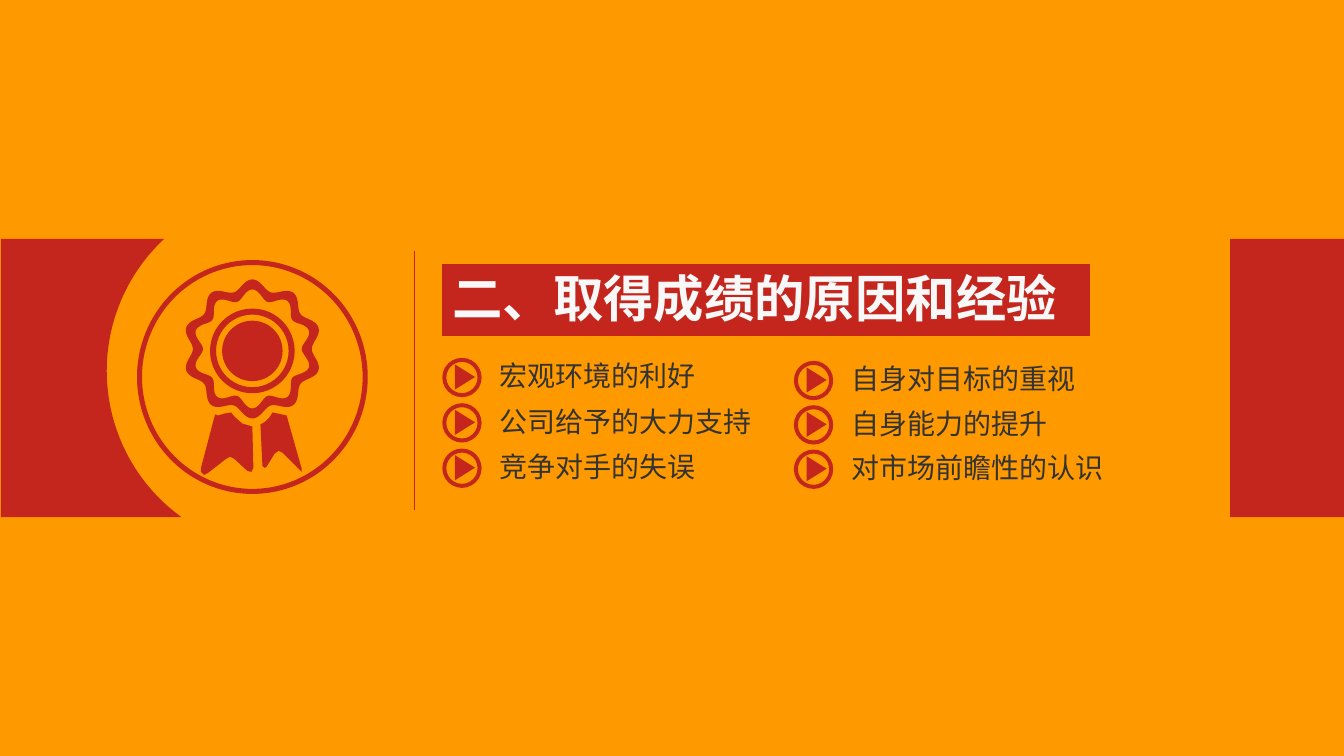
import math

import pptx
import pptx.dml.color
import pptx.enum.shapes
import pptx.enum.text
import pptx.oxml.ns
import pptx.util
from lxml import etree

WIDTH, HEIGHT = 13.34, 7.5
COLORS = {"orange": "FF9900", "red": "C4261D", "white": "F8F8F8", "gray": "333333"}
CJK_FONT = "Noto Sans CJK SC"
SHAPES = pptx.enum.shapes.MSO_SHAPE
TITLE = "二、取得成绩的原因和经验"
REASONS = ["宏观环境的利好", "公司给予的大力支持", "竞争对手的失误"]
EXPERIENCES = ["自身对目标的重视", "自身能力的提升", "对市场前瞻性的认识"]

# Ribbon outlines, measured from the centre of the rosette.
RIBBONS = [
    [(0.34, 0.66), (0.2, 0.63), (0.17, 0.68), (0.13, 0.72), (0.08, 0.75),
     (0.1, 1.16), (0.12, 1.18), (0.14, 1.17), (0.22, 1.04), (0.26, 1.01),
     (0.3, 1.03), (0.47, 1.2), (0.49, 1.22), (0.49, 1.19)],
    [(-0.37, 0.65), (-0.51, 1.18), (-0.51, 1.22), (-0.48, 1.25), (-0.44, 1.23),
     (-0.26, 1.09), (-0.22, 1.07), (-0.18, 1.09), (-0.05, 1.21), (-0.01, 1.22),
     (0.01, 1.18), (0, 0.77), (-0.1, 0.74), (-0.18, 0.67), (-0.21, 0.63),
     (-0.27, 0.64), (-0.34, 0.66)],
]


def rgb(name):
    return pptx.dml.color.RGBColor.from_string(COLORS[name])


def inches(*lengths):
    return [pptx.util.Inches(length) for length in lengths]


def paint(shape):
    shape.shadow.inherit = False
    shape.fill.solid()
    shape.fill.fore_color.rgb = rgb("red")
    shape.line.fill.background()
    return shape


def add_preset(shapes, kind, box):
    return paint(shapes.add_shape(kind, *inches(*box)))


def add_ring(shapes, box, thickness):
    ring = add_preset(shapes, SHAPES.DONUT, box)
    ring.adjustments[0] = thickness / min(box[2:])


def add_outline(shapes, *contours):
    """Draw closed contours as one shape; a second contour cuts a hole."""
    contours = [[inches(*point) for point in contour] for contour in contours]
    builder = shapes.build_freeform(*contours[0][0], scale=1.0)
    builder.add_line_segments(contours[0][1:], close=True)
    for contour in contours[1:]:
        builder.move_to(*contour[0])
        builder.add_line_segments(contour[1:], close=True)
    return paint(builder.convert_to_shape())


def write(shape, text, size, color, font, bold=False):
    frame = shape.text_frame
    frame.vertical_anchor = pptx.enum.text.MSO_ANCHOR.TOP
    frame.auto_size = pptx.enum.text.MSO_AUTO_SIZE.SHAPE_TO_FIT_TEXT
    para = frame.paragraphs[0]
    para.alignment = pptx.enum.text.PP_ALIGN.LEFT
    span = para.add_run()
    span.text = text
    span.font.size = pptx.util.Pt(size)
    span.font.bold = bold
    span.font.color.rgb = rgb(color)
    span.font.name = font
    east_asian = etree.SubElement(span.font._element, pptx.oxml.ns.qn("a:ea"))
    east_asian.set("typeface", CJK_FONT)


def add_side_panels(page, box):
    left, top, width, height = box
    center_x, center_y, radius = left + 2.84, top + 1.31, 1.79
    start = math.pi + math.asin((center_y - top) / radius)
    end = math.pi - math.asin((top + height - center_y) / radius)
    angles = [start + (end - start) * step / 60 for step in range(61)]
    curve = [(center_x + radius * math.cos(angle), center_y + radius * math.sin(angle))
             for angle in angles]
    add_outline(page.shapes, [(left, top), *curve, (left, top + height)])
    panel_width = 1.13
    add_preset(page.shapes, SHAPES.RECTANGLE,
               (left + width - panel_width, top, panel_width, height))


def add_badge(page, box):
    left, top, width, height = box
    center_x, center_y = left + width / 2, top + 0.38 * height
    shapes = page.shapes.add_group_shape().shapes

    def scallop(radius, direction):
        contour = []
        for step in range(200):
            angle = direction * math.tau * step / 200
            reach = radius + 0.05 * math.cos(10 * angle)
            contour.append((center_x + reach * math.sin(angle),
                            center_y - reach * math.cos(angle)))
        return contour

    def around_center(radius):
        return center_x - radius, center_y + 0.02 - radius, 2 * radius, 2 * radius

    add_outline(shapes, scallop(0.64, 1), scallop(0.54, -1))
    add_ring(shapes, around_center(0.42), 0.06)
    add_preset(shapes, SHAPES.OVAL, around_center(0.3))
    for ribbon in RIBBONS:
        add_outline(shapes, [(center_x + x, center_y + y) for x, y in ribbon])
    add_ring(shapes, box, 0.05)


def add_divider(page, x, top, bottom):
    divider = page.shapes.add_connector(
        pptx.enum.shapes.MSO_CONNECTOR.STRAIGHT, *inches(x, bottom, x, top))
    divider.line.color.rgb = rgb("red")
    divider.line.width = pptx.util.Pt(0.75)
    etree.SubElement(divider._element.spPr, pptx.oxml.ns.qn("a:effectLst"))


def add_title(page, box):
    left, top, width, height = box
    banner = add_preset(page.shapes, SHAPES.RECTANGLE, box)
    banner.line.color.rgb = rgb("red")
    banner.line.width = pptx.util.Pt(0.75)
    title = page.shapes.title
    title.left, title.top, title.width, title.height = inches(left, top - 0.02, width, height)
    write(title, TITLE, 36, "white", CJK_FONT, bold=True)
    banner.element.addnext(title.element)


def add_bullets(page, left, top, pitch, labels):
    for row, label in enumerate(labels):
        y = top + row * pitch
        shapes = page.shapes.add_group_shape().shapes
        add_ring(shapes, (left, y, 0.39, 0.39), 0.04)
        pointer = add_preset(shapes, SHAPES.ISOSCELES_TRIANGLE,
                             (left + 0.1, y + 0.09, 0.25, 0.2))
        pointer.rotation = 90
        text_box = shapes.add_textbox(
            *inches(left + 0.47, y - 0.04, 0.2 + 0.28 * len(label), 0.44))
        text_box.text_frame.word_wrap = False
        write(text_box, label, 20, "gray", "Arial")


def build_section_page(deck):
    page = deck.slides.add_slide(deck.slide_layouts[5])
    page.background.fill.solid()
    page.background.fill.fore_color.rgb = rgb("orange")
    add_title(page, (4.39, 2.62, 6.42, 0.71))
    add_divider(page, 4.11, 2.49, 5.06)
    add_bullets(page, 4.39, 3.55, 0.45, REASONS)
    add_bullets(page, 7.88, 3.58, 0.44, EXPERIENCES)
    add_side_panels(page, (0.01, 2.37, WIDTH - 0.01, 2.76))
    add_badge(page, (1.36, 2.58, 2.29, 2.32))


def main():
    deck = pptx.Presentation()
    deck.slide_width, deck.slide_height = inches(WIDTH, HEIGHT)
    build_section_page(deck)
    deck.save("out.pptx")


if __name__ == "__main__":
    main()
